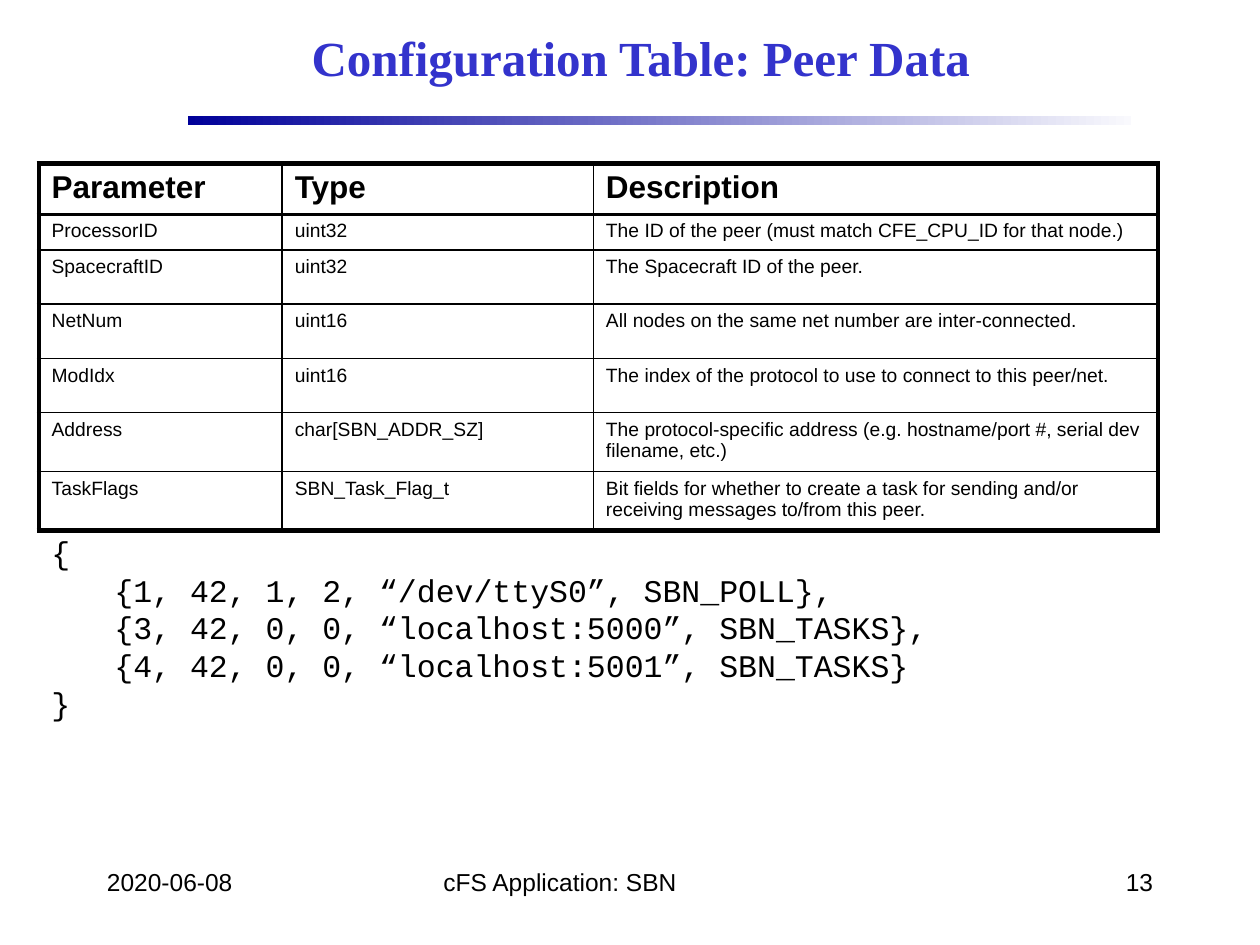
"""Build the SBN peer data configuration slide."""
from lxml import etree
from pptx import Presentation
from pptx.dml.color import RGBColor
from pptx.enum import shapes, text
from pptx.oxml import ns
from pptx.util import Inches, Pt

BLACK = RGBColor(0x00, 0x00, 0x00)
TITLE_BLUE = RGBColor(0x33, 0x33, 0xCC)
BAR_BLUE = RGBColor(0x00, 0x00, 0x99)
BAR_PALE = RGBColor(0xF9, 0xF9, 0xFD)

COLS = [1.93, 2.47, 4.48]
HEIGHTS = [0.38, 0.27, 0.43, 0.43, 0.43, 0.44, 0.44]
ROWS = [
    ("Parameter", "Type", "Description"),
    ("ProcessorID", "uint32", "The ID of the peer (must match CFE_CPU_ID for that node.)"),
    ("SpacecraftID", "uint32", "The Spacecraft ID of the peer."),
    ("NetNum", "uint16", "All nodes on the same net number are inter-connected."),
    ("ModIdx", "uint16", "The index of the protocol to use to connect to this peer/net."),
    ("Address", "char[SBN_ADDR_SZ]",
     "The protocol-specific address (e.g. hostname/port #, serial dev filename, etc.)"),
    ("TaskFlags", "SBN_Task_Flag_t",
     "Bit fields for whether to create a task for sending and/or receiving messages to/from this peer."),
]
CODE = """{
\t{1, 42, 1, 2, “/dev/ttyS0”, SBN_POLL},
\t{3, 42, 0, 0, “localhost:5000”, SBN_TASKS},
\t{4, 42, 0, 0, “localhost:5001”, SBN_TASKS}
}"""

LEFT, CENTER, RIGHT = text.PP_ALIGN.LEFT, text.PP_ALIGN.CENTER, text.PP_ALIGN.RIGHT
TOP, MIDDLE = text.MSO_ANCHOR.TOP, text.MSO_ANCHOR.MIDDLE


def write(tf, content, align=LEFT, **fmt):
    tf.text = content
    for p in tf.paragraphs:
        p.alignment = align
        for r in p.runs:
            r.font.color.rgb = fmt.get("color", BLACK)
            for key in ("name", "size", "bold"):
                setattr(r.font, key, fmt.get(key))


def add_border(cell, side, width):
    tc_pr = cell._tc.get_or_add_tcPr()
    ln = etree.SubElement(tc_pr, ns.qn(f"a:ln{side}"), w=str(Pt(width)))
    fill = etree.SubElement(ln, ns.qn("a:solidFill"))
    etree.SubElement(fill, ns.qn("a:srgbClr"), val=str(BLACK))


prs = Presentation()
prs.slide_width, prs.slide_height = Inches(10), Inches(7.5)
s = prs.slides.add_slide(prs.slide_layouts[6])

bar = s.shapes.add_shape(shapes.MSO_SHAPE.RECTANGLE,
                         Inches(1.49), Inches(0.92), Inches(7.49), Inches(0.07))
bar.shadow.inherit = False
bar.line.fill.background()
bar.fill.gradient()
bar.fill.gradient_angle = 0
for stop, color, position in zip(bar.fill.gradient_stops, (BAR_BLUE, BAR_PALE), (0, 1)):
    stop.color.rgb = color
    stop.position = position

title = {"name": "Times New Roman", "size": Pt(28), "bold": True, "color": TITLE_BLUE}
footer = {"name": "Arial", "size": Pt(14)}
code = {"name": "Courier New", "size": Pt(18)}
for content, box, align, anchor, fmt in [
    ("Configuration Table: Peer Data", (1.5, 0.08, 7.17, 0.75), CENTER, MIDDLE, title),
    ("2020-06-08", (0.75, 6.83, 2.08, 0.5), LEFT, TOP, footer),
    ("cFS Application: SBN", (3.42, 6.83, 3.17, 0.5), LEFT, TOP, footer),
    ("13", (7.17, 6.83, 2.08, 0.5), RIGHT, TOP, footer),
    (CODE, (0.31, 4.18, 9.09, 1.62), LEFT, TOP, code),
]:
    tf = s.shapes.add_textbox(*map(Inches, box)).text_frame
    tf.word_wrap = True
    tf.vertical_anchor = anchor
    write(tf, content, align, **fmt)

table = s.shapes.add_table(len(ROWS), len(COLS), Inches(0.31), Inches(1.3),
                           Inches(sum(COLS)), Inches(sum(HEIGHTS))).table
table.first_row = table.horz_banding = False
for column, width in zip(table.columns, COLS):
    column.width = Inches(width)
for row, height in zip(table.rows, HEIGHTS):
    row.height = Inches(height)

last_row, last_col = len(ROWS) - 1, len(COLS) - 1
for i, values in enumerate(ROWS):
    for j, value in enumerate(values):
        cell = table.cell(i, j)
        write(cell.text_frame, value, name="Arial", size=Pt(11 if i else 18), bold=i == 0)
        widths = {
            "L": 3 if j == 0 else 1,
            "R": 3 if j == last_col else 1,
            "T": {0: 3, 1: 2.25}.get(i, 1),
            "B": {0: 2.25, last_row: 3}.get(i, 1),
        }
        for side, width in widths.items():
            add_border(cell, side, width)
        cell.fill.background()

prs.save("out.pptx")
